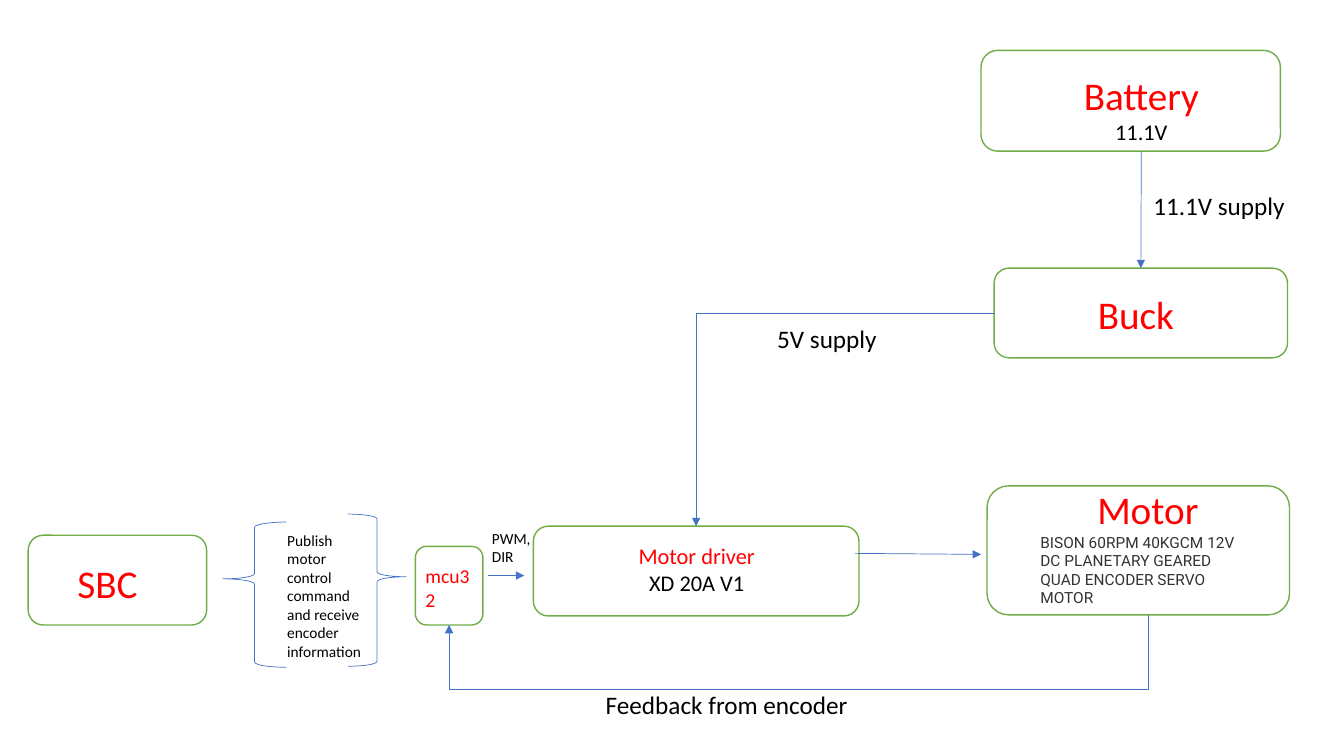
from pptx import Presentation
from pptx.dml.color import RGBColor
from pptx.enum.shapes import MSO_CONNECTOR, MSO_SHAPE
from pptx.enum.text import MSO_AUTO_SIZE, PP_ALIGN
from pptx.oxml.ns import qn
from pptx.util import Emu, Pt
from lxml.etree import SubElement

EMU_PER_PX = 9144  # 100 px to the inch
WHITE = RGBColor(0xFF, 0xFF, 0xFF)
BLACK = RGBColor(0, 0, 0)
RED = RGBColor(0xFF, 0, 0)
GREY = RGBColor(0x33, 0x33, 0x33)
GREEN = RGBColor(0x70, 0xAD, 0x47)
BLUE = RGBColor(0x44, 0x72, 0xC4)


def px(*lengths):
    return [Emu(n * EMU_PER_PX) for n in lengths]


def write(p, text, size=18, color=BLACK, font="Calibri", align=PP_ALIGN.LEFT):
    p.alignment = align
    r = p.add_run()
    r.text = text
    r.font.size = Pt(size)
    r.font.name = font
    r.font.color.rgb = color


class Diagram:
    def __init__(self, prs):
        self.slide = prs.slides.add_slide(prs.slide_layouts[6])
        self.shapes = self.slide.shapes

    def box(self, *frame):
        sp = self.shapes.add_shape(MSO_SHAPE.ROUNDED_RECTANGLE, *px(*frame))
        sp.shadow.inherit = False
        sp.fill.solid()
        sp.fill.fore_color.rgb = WHITE
        sp.line.color.rgb = GREEN
        sp.line.width = Pt(1)
        return sp

    def brace(self, kind, frame, middle):
        """Draw a curly brace whose tip is at the given share of its height."""
        sp = self.shapes.add_shape(kind, *px(*frame))
        sp.shadow.inherit = False
        sp.adjustments[0] = 0.083
        sp.adjustments[1] = middle
        sp.fill.background()
        sp.line.color.rgb = BLUE
        sp.line.width = Pt(0.5)

    def text(self, frame, *lines):
        """Add a text box; each line is a (text, format) pair."""
        sp = self.shapes.add_textbox(*px(*frame))
        tf = sp.text_frame
        tf.word_wrap = True
        tf.auto_size = MSO_AUTO_SIZE.SHAPE_TO_FIT_TEXT
        for i, (text, style) in enumerate(lines):
            p = tf.add_paragraph() if i else tf.paragraphs[0]
            write(p, text, **style)

    def arrow(self, start, end, source=None, target=None, bend=None, adjust=()):
        """Draw an arrow; source and target are (shape, side) pairs to join."""
        kind = MSO_CONNECTOR.ELBOW if bend else MSO_CONNECTOR.STRAIGHT
        cxn = self.shapes.add_connector(kind, *px(*start, *end))
        if source:
            cxn.begin_connect(*source)
        if target:
            cxn.end_connect(*target)
        cxn.line.color.rgb = BLUE
        cxn.line.width = Pt(0.5)
        spPr = cxn._element.spPr
        SubElement(spPr.find(qn("a:ln")), qn("a:tailEnd"), type="triangle")
        SubElement(spPr, qn("a:effectLst"))
        if bend:
            geom = spPr.find(qn("a:prstGeom"))
            geom.set("prst", bend)
            guides = geom.find(qn("a:avLst"))
            for i, value in enumerate(adjust, 1):
                SubElement(guides, qn("a:gd"), name=f"adj{i}", fmla=f"val {value}")


def main():
    prs = Presentation()
    prs.slide_width, prs.slide_height = px(1333, 750)
    d = Diagram(prs)
    center = PP_ALIGN.CENTER
    title = dict(size=28, color=RED)
    centered_title = dict(title, align=center)
    detail = dict(size=16, align=center)
    small = dict(size=11)

    d.box(973, 50, 297, 100)
    d.text((1055, 66, 154, 84), ("Battery", centered_title), ("11.1V", detail))
    driver = d.box(529, 522, 323, 89)
    d.text((580, 533, 222, 33), ("Motor driver", dict(detail, color=RED)),
           ("XD 20A V1", detail))
    d.box(28, 531, 177, 89)
    d.text((67, 550, 80, 57), ("SBC", title))
    d.box(979, 482, 300, 128)
    d.text((1022, 477, 233, 168), ("Motor", centered_title),
           ("BISON 60RPM 40KGCM 12V DC PLANETARY GEARED QUAD ENCODER SERVO MOTOR",
            dict(small, font="Roboto", color=GREY)))
    buck = d.box(986, 266, 291, 89)
    d.text((1079, 283, 140, 34), ("Buck", title))
    controller = d.box(412, 542, 67, 78)
    d.text((412, 555, 72, 34), ("mcu32", dict(size=14, color=RED)))

    d.arrow((1132, 150), (1131, 266), target=(buck, 0))
    d.arrow((848, 549), (973, 550))
    d.arrow((484, 571), (520, 571))
    d.arrow((986, 310), (691, 522), source=(buck, 1), target=(driver, 0),
            bend="bentConnector2")
    d.arrow((1139, 610), (445, 620), target=(controller, 2),
            bend="bentConnector4", adjust=(0, 740000))

    d.text((761, 316, 127, 40), ("5V supply", {}))
    d.text((1134, 184, 157, 40), ("11.1V supply", {}))
    d.text((591, 679, 340, 40), ("Feedback from encoder", {}))
    d.text((478, 520, 73, 47), ("PWM,", small), ("DIR", small))
    d.text((275, 522, 99, 140),
           ("Publish motor control command and receive encoder information", small))
    d.brace(MSO_SHAPE.LEFT_BRACE, (221, 518, 63, 144), 0.391)
    d.brace(MSO_SHAPE.RIGHT_BRACE, (345, 510, 58, 151), 0.412)
    prs.save("out.pptx")


if __name__ == "__main__":
    main()
